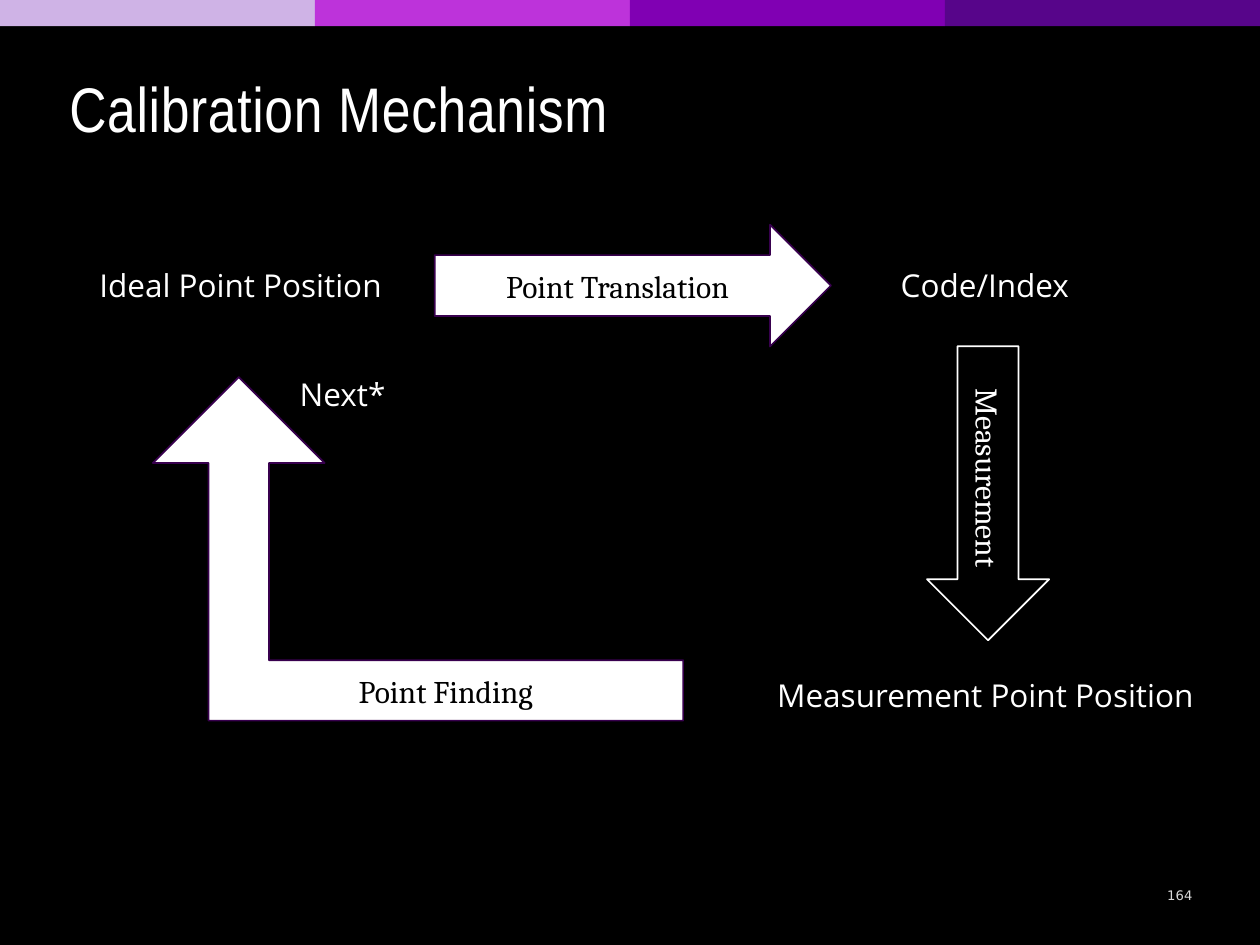
from dataclasses import dataclass

from pptx import Presentation
from pptx import util as u
from pptx.dml import color
from pptx.enum import shapes, text

WHITE, BLACK, PLUM = "FFFFFF", "000000", "38004E"
BAND_COLOURS = ["CFB3E6", "BD33DA", "8000B3", "57058A"]
SLIDE_WIDTH, SLIDE_HEIGHT = 720, 540
LABEL_HEIGHT = 29


@dataclass
class Label:
    words: str
    left: float
    top: float
    width: float


@dataclass
class Arrow:
    words: str
    preset: shapes.MSO_SHAPE
    box: tuple[float, float, float, float]
    fill: str | None
    line: str
    ink: str
    rotation: float = 0
    flipped: bool = False
    adjustments: tuple[float, ...] = ()


LABELS = [
    Label("Ideal Point Position", 49.7, 148.3, 184),
    Label("Code/Index", 507.6, 148.3, 184),
    Label("Measurement Point Position", 437, 383, 254),
    Label("Next*", 164.2, 211, 75),
]

ARROWS = [
    Arrow("Point Translation", shapes.MSO_SHAPE.RIGHT_ARROW,
          (248.4, 128.4, 226.4, 69.6), WHITE, PLUM, BLACK),
    Arrow("Measurement", shapes.MSO_SHAPE.RIGHT_ARROW,
          (480.6, 247, 168, 69.8), None, WHITE, WHITE, rotation=90),
    Arrow("Point Finding", shapes.MSO_SHAPE.BENT_UP_ARROW,
          (87.4, 215.5, 303, 196.3), WHITE, PLUM, BLACK,
          flipped=True, adjustments=(0.176, 0.25, 0.25)),
]


def rgb(value: str) -> color.RGBColor:
    return color.RGBColor.from_string(value)


def place(shape, left: float, top: float, width: float, height: float) -> None:
    shape.left, shape.top = u.Pt(left), u.Pt(top)
    shape.width, shape.height = u.Pt(width), u.Pt(height)


def write(shape, words: str, *, font: str, size: float, ink: str = WHITE,
          align=text.PP_ALIGN.LEFT, anchor=text.MSO_ANCHOR.TOP,
          spacing: float = 0) -> None:
    frame = shape.text_frame
    frame.word_wrap = True
    frame.auto_size = text.MSO_AUTO_SIZE.NONE
    frame.vertical_anchor = anchor
    paragraph = frame.paragraphs[0]
    paragraph.alignment = align
    run = paragraph.add_run()
    run.text = words
    run.font.name = font
    run.font.size = u.Pt(size)
    run.font.color.rgb = rgb(ink)
    if spacing:
        run._r.get_or_add_rPr().set("spc", str(round(spacing * 100)))


def add_filled(slide, preset, box, fill: str | None, line: str | None = None):
    shape = slide.shapes.add_shape(preset, *map(u.Pt, box))
    shape.shadow.inherit = False
    if fill:
        shape.fill.solid()
        shape.fill.fore_color.rgb = rgb(fill)
    else:
        shape.fill.background()
    if line:
        shape.line.color.rgb = rgb(line)
        shape.line.width = u.Pt(1)
    else:
        shape.line.fill.background()
    return shape


def add_text_box(slide, box, words: str, **style) -> None:
    write(slide.shapes.add_textbox(*map(u.Pt, box)), words, **style)


def add_arrow(slide, arrow: Arrow) -> None:
    shape = add_filled(slide, arrow.preset, arrow.box, arrow.fill, arrow.line)
    shape.rotation = arrow.rotation
    for index, value in enumerate(arrow.adjustments):
        shape.adjustments[index] = value
    if arrow.flipped:
        shape.element.spPr.get_or_add_xfrm().set("flipH", "1")
    write(shape, arrow.words, font="Cambria", size=18, ink=arrow.ink,
          align=text.PP_ALIGN.CENTER, anchor=text.MSO_ANCHOR.MIDDLE)


def add_band(slide) -> None:
    width = SLIDE_WIDTH / len(BAND_COLOURS)
    for index, fill in enumerate(BAND_COLOURS):
        add_filled(slide, shapes.MSO_SHAPE.RECTANGLE,
                   (index * width, 0, width, 15), fill)


def main() -> None:
    presentation = Presentation()
    presentation.slide_width = u.Pt(SLIDE_WIDTH)
    presentation.slide_height = u.Pt(SLIDE_HEIGHT)
    slide = presentation.slides.add_slide(presentation.slide_layouts[5])
    slide.background.fill.solid()
    slide.background.fill.fore_color.rgb = rgb(BLACK)

    add_band(slide)
    title = slide.shapes.title
    place(title, 39.6, 38.9, 435.6, 47.5)
    title.text_frame.margin_left = 0
    write(title, "Calibration Mechanism", font="Arial Narrow", size=36,
          anchor=text.MSO_ANCHOR.BOTTOM, spacing=0.4)

    for label in LABELS:
        add_text_box(slide, (label.left, label.top, label.width, LABEL_HEIGHT),
                     label.words, font="Open Sans", size=18)
    for arrow in ARROWS:
        add_arrow(slide, arrow)
    add_text_box(slide, (658, 502, 32.4, 19.4), "164", font="DejaVu Sans",
                 size=7.5, ink="D9D9D9", align=text.PP_ALIGN.CENTER,
                 anchor=text.MSO_ANCHOR.MIDDLE)
    presentation.save("out.pptx")


if __name__ == "__main__":
    main()
